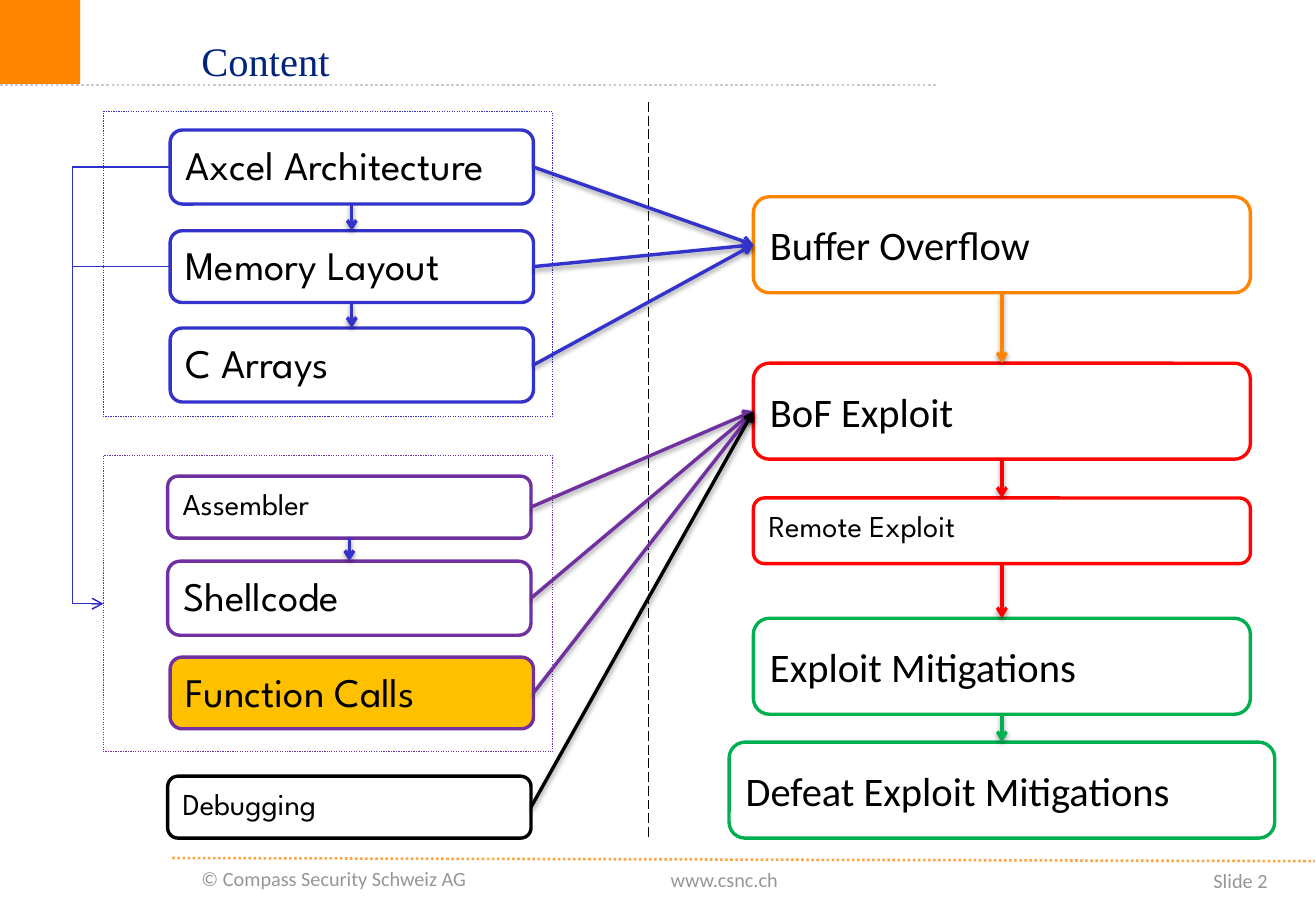
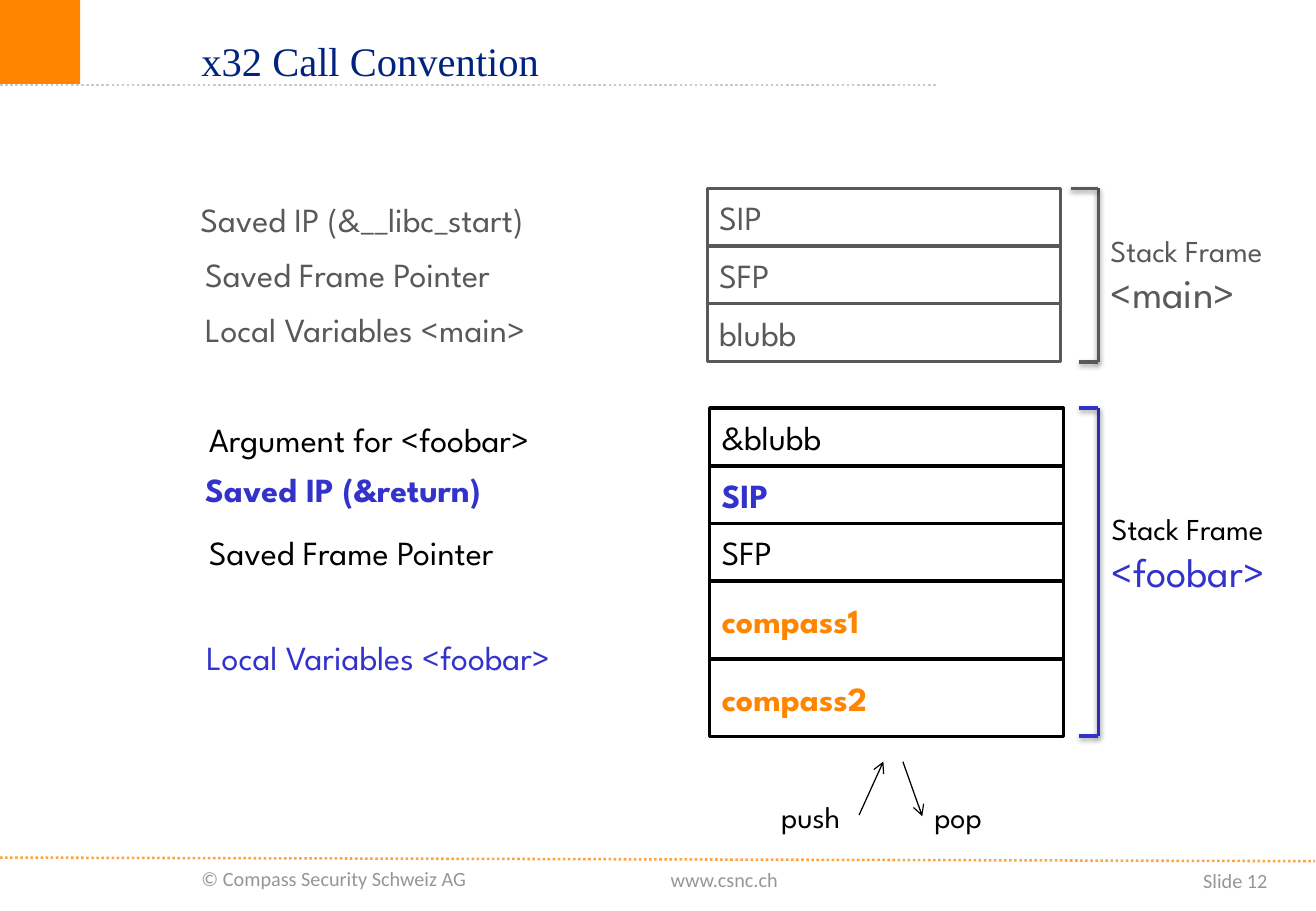
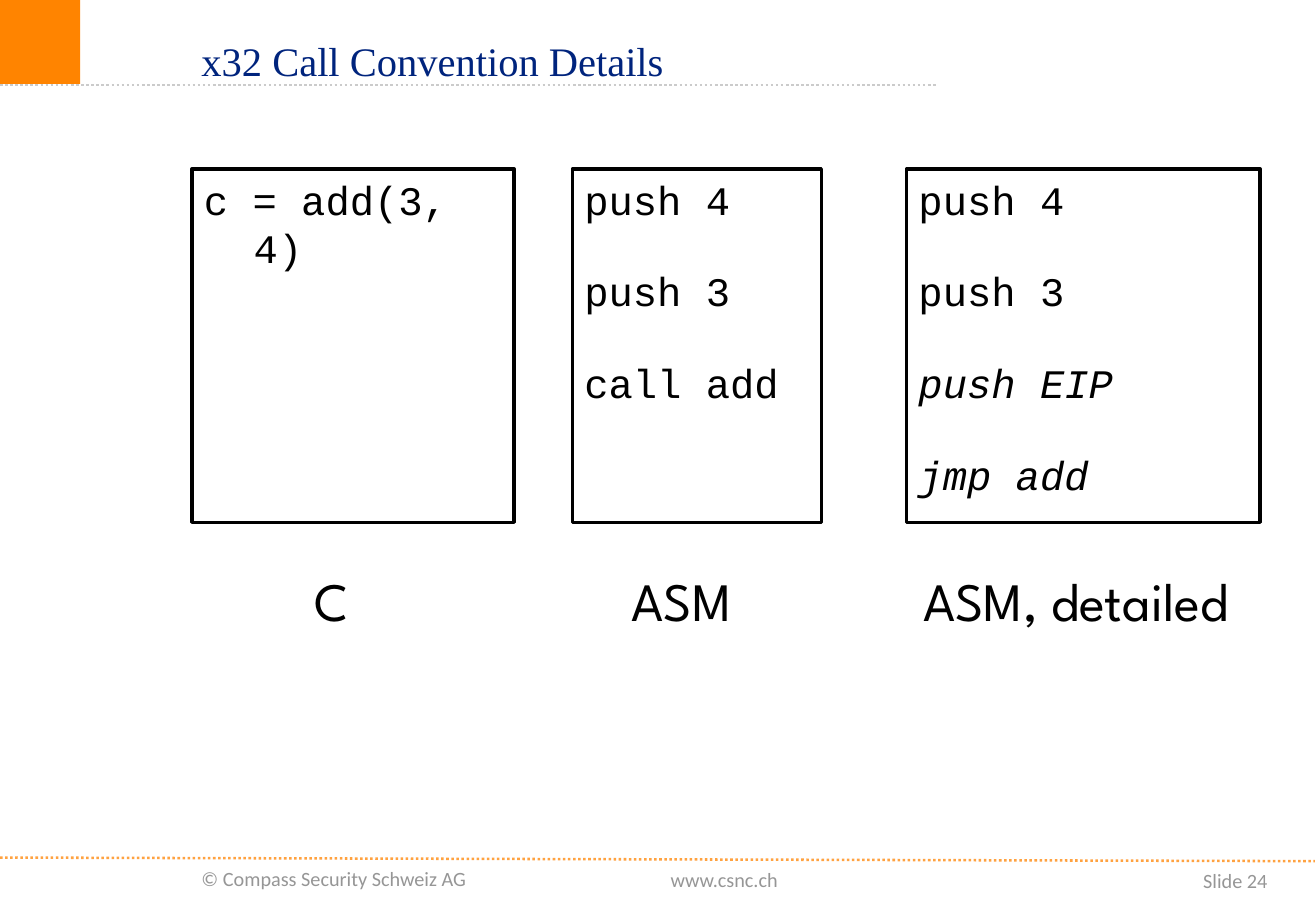
"""Builds three training slides about the x32 call convention."""
from lxml import etree
from pptx import Presentation
from pptx import util as u
from pptx.dml.color import RGBColor
from pptx.enum import dml, shapes, text
from pptx.oxml.ns import qn

ORANGE = RGBColor(0xFF, 0x84, 0x00)
AMBER = RGBColor(0xFF, 0xC0, 0x00)
NAVY = RGBColor(0x00, 0x24, 0x7D)
BLUE = RGBColor(0x33, 0x33, 0xCC)
ROUTE_BLUE = RGBColor(0x2E, 0x2E, 0xCB)
DEEP_BLUE = RGBColor(0x2D, 0x2D, 0xB9)
PURPLE = RGBColor(0x70, 0x30, 0xA0)
RED = RGBColor(0xFF, 0x06, 0x06)
ARROW_RED = RGBColor(0xFF, 0x00, 0x00)
GREEN = RGBColor(0x00, 0xB0, 0x50)
BLACK = RGBColor(0x00, 0x00, 0x00)
WHITE = RGBColor(0xFF, 0xFF, 0xFF)
SLATE = RGBColor(0x59, 0x59, 0x59)
FOOTER_GREY = RGBColor(0x96, 0x96, 0x96)
RULE_GREY = RGBColor(0xCB, 0xCB, 0xCB)

SANS, BODY, CODE, HEADING = "League Spartan", "Calibri", "Courier New", "Times New Roman"
TOP, LEFT, BOTTOM, RIGHT = range(4)
RECT, ROUNDED = shapes.MSO_SHAPE.RECTANGLE, shapes.MSO_SHAPE.ROUNDED_RECTANGLE
DOTTED, DASHED = dml.MSO_LINE.ROUND_DOT, dml.MSO_LINE.LONG_DASH


def inches(values):
    """Turn a row of numbers into lengths."""
    return [u.Inches(value) for value in values]


def style(name=SANS, size=20, color=BLACK, **extra):
    """Collect the format values of a span."""
    return {"name": name, "size": u.Pt(size), "color": color, **extra}


def write(para, words, look):
    """Add one formatted span to a paragraph."""
    span = para.add_run()
    span.text = words
    for key, value in look.items():
        if key == "color":
            span.font.color.rgb = value
        else:
            setattr(span.font, key, value)


def fill_text(frame, lines, anchor):
    """Write (words, look) lines into a text frame, one paragraph each."""
    frame.vertical_anchor = anchor
    for index, (words, look) in enumerate(lines):
        para = frame.add_paragraph() if index else frame.paragraphs[0]
        para.alignment = text.PP_ALIGN.LEFT
        write(para, words, look)


def label(page, at, *lines, wrap=False, anchor=text.MSO_ANCHOR.TOP):
    """Place a plain text box."""
    box = page.shapes.add_textbox(*inches(at))
    box.text_frame.word_wrap = wrap
    if not wrap:
        box.text_frame.auto_size = text.MSO_AUTO_SIZE.SHAPE_TO_FIT_TEXT
    fill_text(box.text_frame, lines, anchor)
    return box


def panel(page, at, *lines, kind=RECT, fill=WHITE, line=None, width=2, dash=None,
          anchor=text.MSO_ANCHOR.TOP):
    """Place a preset shape with optional fill, outline and text."""
    box = page.shapes.add_shape(kind, *inches(at))
    box.shadow.inherit = False
    if fill is None:
        box.fill.background()
    else:
        box.fill.solid()
        box.fill.fore_color.rgb = fill
    if line is None:
        box.line.fill.background()
    else:
        stroke(box, line, width, dash)
    box.text_frame.word_wrap = True
    fill_text(box.text_frame, lines, anchor)
    return box


def stroke(item, color, width, dash=None):
    """Set the colour, width and dash of a line."""
    item.line.color.rgb = color
    item.line.width = u.Pt(width)
    if dash is not None:
        item.line.dash_style = dash


def finish(wire, color, width, dash=None, arrow=False, shadow=False):
    """Format a connector, its arrowhead and its shadow."""
    stroke(wire, color, width, dash)
    if arrow:
        etree.SubElement(wire.line._get_or_add_ln(), qn("a:tailEnd"), type="arrow")
    effects = etree.SubElement(wire._element.spPr, qn("a:effectLst"))
    if shadow:
        cast = etree.SubElement(effects, qn("a:outerShdw"), blurRad=str(u.Pt(3.1)),
                                dist=str(u.Pt(1.6)), dir="5400000", rotWithShape="0")
        tint = etree.SubElement(cast, qn("a:srgbClr"), val=str(BLACK))
        etree.SubElement(tint, qn("a:alpha"), val="38000")
    return wire


def rule(page, points, color, width, **looks):
    """Draw a straight line through x1, y1, x2, y2."""
    wire = page.shapes.add_connector(shapes.MSO_CONNECTOR.STRAIGHT, *inches(points))
    return finish(wire, color, width, **looks)


def link(page, start, end, color, sites=(RIGHT, LEFT), kind=shapes.MSO_CONNECTOR.STRAIGHT,
         width=2, shadow=True):
    """Join two boxes with an arrow glued to their sides."""
    wire = page.shapes.add_connector(kind, 0, 0, 0, 0)
    wire.begin_connect(start, sites[0])
    wire.end_connect(end, sites[1])
    return finish(wire, color, width, arrow=True, shadow=shadow)


def detour(page, start, frame, reach):
    """Route a thin elbow arrow around the left of a frame."""
    wire = link(page, start, frame, ROUTE_BLUE, (LEFT, LEFT),
                shapes.MSO_CONNECTOR.ELBOW, 0.75, False)
    bend = round(100000 * u.Inches(reach) / wire.width)
    guides = wire._element.spPr.find(qn("a:prstGeom")).get_or_add_avLst()
    etree.SubElement(guides, qn("a:gd"), name="adj1", fmla=f"val {bend}")


def base_page(deck, title, number):
    """Add a page with the shared title, corner, rules and footer."""
    page = deck.slides.add_slide(deck.slide_layouts[6])
    small = style(BODY, 12, FOOTER_GREY)
    panel(page, (0, 0, 0.66, 0.69), fill=ORANGE)
    label(page, (1.56, 7.08, 2.66, 0.3), ("© Compass Security Schweiz AG", small))
    label(page, (5.42, 7.09, 1.15, 0.3), ("www.csnc.ch", small))
    counter = label(page, (9.28, 7.1, 1.25, 0.34), (f"Slide {number}", small), wrap=True)
    counter.text_frame.paragraphs[0].alignment = text.PP_ALIGN.RIGHT
    footer = rule(page, (0, 7.06, 10.82, 7.09), ORANGE, 1.5, dash=DOTTED)
    tint = footer._element.spPr.find(".//" + qn("a:srgbClr"))
    etree.SubElement(tint, qn("a:alpha"), val="75000")
    rule(page, (0, 0.7, 7.71, 0.7), RULE_GREY, 1.5, dash=DOTTED)
    label(page, (1.56, 0, 6.06, 1), (title, style(HEADING, 24, NAVY)), wrap=True,
          anchor=text.MSO_ANCHOR.MIDDLE)
    return page


def topic(page, at, words, line, font=SANS, size=24, fill=WHITE):
    """Place one rounded topic box."""
    anchor = text.MSO_ANCHOR.MIDDLE if font == BODY else text.MSO_ANCHOR.TOP
    return panel(page, at, (words, style(font, size)), kind=ROUNDED, fill=fill,
                 line=line, anchor=anchor)


def basics(page, left, width):
    """Place the topics of the left column and their frames."""
    rows = [("Axcel Architecture", 0.02, 1.07, 0.61, BLUE, 24, WHITE),
            ("Memory Layout", 0.02, 1.9, 0.59, BLUE, 24, WHITE),
            ("C Arrays", 0.02, 2.7, 0.61, BLUE, 24, WHITE),
            ("Assembler", 0, 3.92, 0.51, PURPLE, 18, WHITE),
            ("Shellcode", 0, 4.62, 0.61, PURPLE, 24, WHITE),
            ("Function Calls", 0.02, 5.41, 0.59, PURPLE, 24, AMBER),
            ("Debugging", 0, 6.39, 0.51, BLACK, 18, WHITE)]
    boxes = [topic(page, (left + shift, top, width, height), words, line, size=size, fill=fill)
             for words, shift, top, height, line, size, fill in rows]
    for first in (0, 1, 3):
        link(page, boxes[first], boxes[first + 1], BLUE, (BOTTOM, TOP))
    frames = [panel(page, (left - 0.53, top, 3.7, height), fill=None, line=line,
                    width=0.75, dash=DOTTED)
              for top, height, line in ((0.92, 2.51, BLUE), (3.75, 2.44, PURPLE))]
    for start in boxes[:2]:
        detour(page, start, frames[1], 0.8)
    return boxes


def attacks(page, left, width):
    """Place the chain of topics in the right column."""
    rows = [("Buffer Overflow", 0, 1.62, 0.79, ORANGE, BODY, 24),
            ("BoF Exploit", 0, 2.99, 0.79, RED, BODY, 24),
            ("Remote Exploit", 0, 4.1, 0.54, RED, SANS, 18),
            ("Exploit Mitigations", 0, 5.09, 0.79, GREEN, BODY, 24),
            ("Defeat Exploit Mitigations", 0.2, 6.11, 0.79, GREEN, BODY, 24)]
    boxes = [topic(page, (left - grow, top, width + 2 * grow, height), words, line, font, size)
             for words, grow, top, height, line, font, size in rows]
    for start, end, color in zip(boxes, boxes[1:], (ORANGE, ARROW_RED, ARROW_RED, GREEN)):
        link(page, start, end, color, (BOTTOM, TOP))
    return boxes


def content_page(deck):
    """Build the map of topics."""
    page = base_page(deck, "Content", 2)
    panel(page, (0, 0.84, 1.4, 6.66))
    rule(page, (5.34, 0.84, 5.34, 6.9), BLACK, 0.75, dash=DASHED)
    sources = basics(page, 1.38, 2.99)
    overflow, exploit = attacks(page, 6.2, 4.09)[:2]
    colors = [BLUE] * 3 + [PURPLE] * 3 + [BLACK]
    for index, (source, color) in enumerate(zip(sources, colors)):
        link(page, source, overflow if index < 3 else exploit, color)


def stack(page, left, top, line, cells):
    """Pile up the (words, height, look) cells of a stack frame."""
    for words, height, look in cells:
        panel(page, (left, top, 2.91, height), (words, look), line=line,
              anchor=text.MSO_ANCHOR.MIDDLE)
        top += height


def bracket(page, right, top, bottom, arms, color, spine):
    """Draw a square bracket open to the left."""
    rule(page, (right, top, right, bottom), spine, 2, shadow=True)
    for level, arm in zip((top, bottom), arms):
        rule(page, (right, level, right - arm, level), color, 2, shadow=True)


def stack_page(deck):
    """Build the stack of the call convention."""
    page = base_page(deck, "x32 Call Convention", 12)
    grey, plain, blue = style(color=SLATE), style(), style(color=BLUE)
    blue_bold, orange_bold = style(color=BLUE, bold=True), style(color=ORANGE, bold=True)
    stack(page, 5.82, 1.55, SLATE, [(words, 0.475, grey) for words in ("SIP", "SFP", "blubb")])
    stack(page, 5.84, 3.36, BLACK,
          [("&blubb", 0.475, plain), ("SIP", 0.475, blue_bold), ("SFP", 0.475, plain),
           ("compass1", 0.64, orange_bold), ("compass2", 0.64, orange_bold)])
    for left, top, width, words, look in (
            (1.55, 1.59, 3.22, "Saved IP (&__libc_start)", grey),
            (1.59, 2.04, 2.85, "Saved Frame Pointer", grey),
            (1.59, 2.49, 3.11, "Local Variables <main>", grey),
            (1.62, 3.4, 3.02, "Argument for <foobar>", plain),
            (1.59, 3.81, 2.64, "Saved IP (&return)", blue_bold),
            (1.62, 4.33, 2.85, "Saved Frame Pointer", plain),
            (1.6, 5.19, 3.3, "Local Variables <foobar>", blue)):
        label(page, (left, top, width, 0.44), (words, look))
    for left, top, words, color, name_color in (
            (9.04, 1.86, "<main>", SLATE, SLATE), (9.05, 4.15, "<foobar>", BLACK, BLUE)):
        label(page, (left, top, 1.63, 0.81), ("Stack Frame", style(size=18, color=color)),
              (words, style(size=24, color=name_color)))
    bracket(page, 9.04, 1.55, 2.98, (0.23, 0.16), SLATE, SLATE)
    bracket(page, 9.04, 3.36, 6.06, (0.16, 0.16), BLUE, DEEP_BLUE)
    for points in ((7.07, 6.71, 7.27, 6.27), (7.43, 6.27, 7.59, 6.72)):
        rule(page, points, BLACK, 0.75, arrow=True)
    for left, width, words in ((6.33, 0.75, "push"), (7.59, 0.62, "pop")):
        label(page, (left, 6.52, width, 0.4), (words, style(size=18)))


def listing(page, left, width, lines):
    """Place a code box with hanging, widely spaced lines."""
    box = panel(page, (left, 1.39, width, 2.91), *lines, line=BLACK)
    for index, para in enumerate(box.text_frame.paragraphs):
        hang = u.Inches(0.41)
        props = para._p.get_or_add_pPr()
        props.set("marL", str(hang))
        props.set("indent", str(-hang))
        if index:
            para.space_before = u.Pt(25.5)


def details_page(deck):
    """Build the comparison of C and assembler code."""
    page = base_page(deck, "x32 Call Convention Details", 24)
    plain, slanted = style(CODE, 24), style(CODE, 24, italic=True)
    pushes = [("push 4", plain), ("push 3", plain)]
    for left, width, lines, name_left, name_width, name in (
            (1.58, 2.65, [("c = add(3, 4)", plain)], 2.49, 0.53, "C"),
            (4.71, 2.05, pushes + [("call add", plain)], 5.1, 1.17, "ASM"),
            (7.46, 2.91, pushes + [("push EIP", slanted), ("jmp add", slanted)],
             7.5, 2.99, "ASM, detailed")):
        listing(page, left, width, lines)
        label(page, (name_left, 4.62, name_width, 0.64), (name, style(size=32)))


def main():
    """Build and save the deck."""
    deck = Presentation()
    deck.slide_width, deck.slide_height = inches((10.83, 7.5))
    for build in (content_page, stack_page, details_page):
        build(deck)
    deck.save("out.pptx")


if __name__ == "__main__":
    main()
